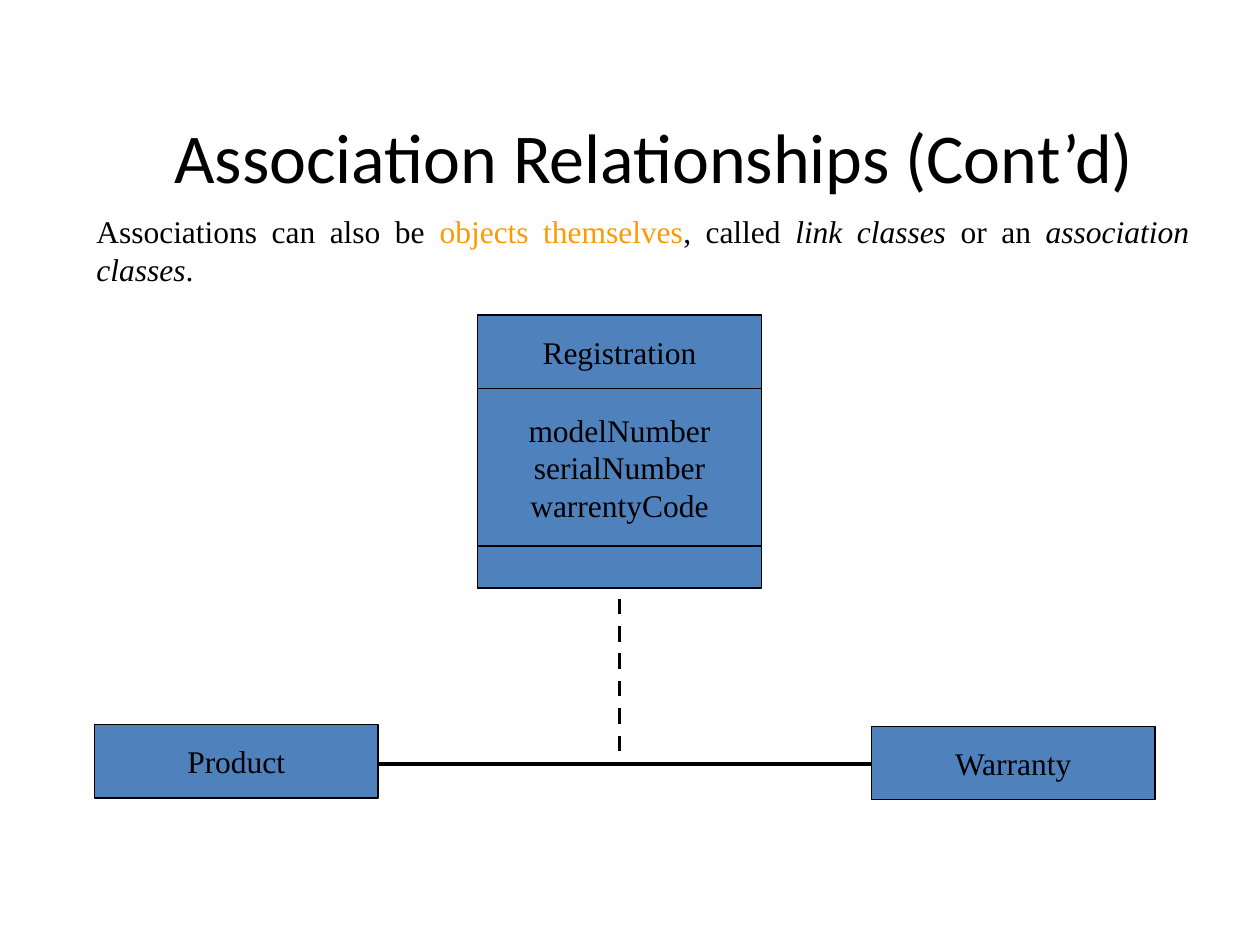
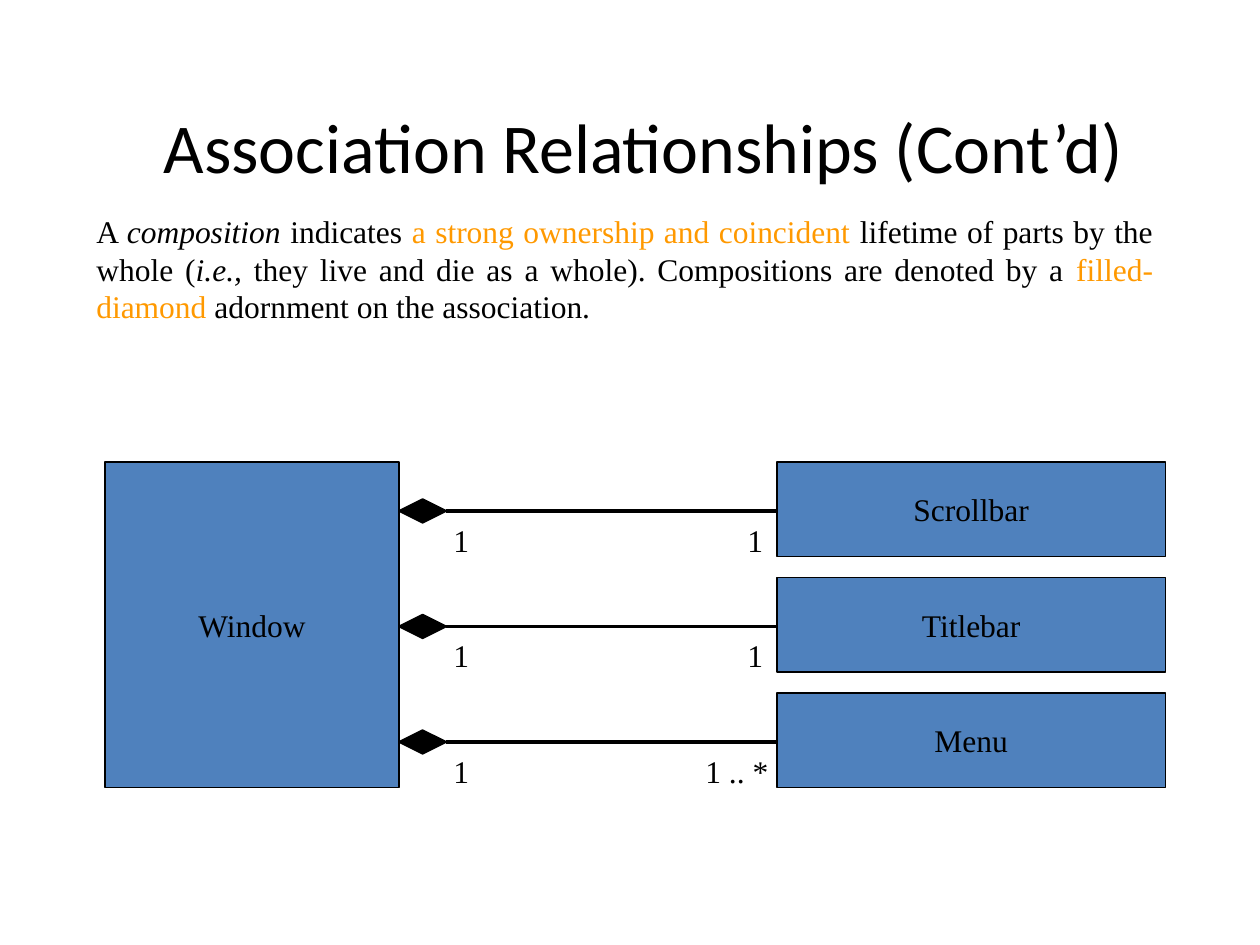
import pptx
import pptx.util
import pptx.dml.color
import pptx.enum.dml
import pptx.enum.shapes
import pptx.enum.text
import pptx.oxml.ns
import lxml.etree

Pt = pptx.util.Pt
RGB = pptx.dml.color.RGBColor.from_string
ALIGN = pptx.enum.text.PP_ALIGN
ANCHOR = pptx.enum.text.MSO_ANCHOR
SHAPE = pptx.enum.shapes.MSO_SHAPE

COLORS = {"ink": "000000", "accent": "FF9900", "box": "4F81BD"}
TITLE = "Association Relationships (Cont’d)"
TITLE_FONT = {"name": "Calibri", "size": Pt(40)}
BODY_FONT = {"name": "Times New Roman", "size": Pt(18)}
FRAME = {"margin_left": Pt(7.2), "margin_right": Pt(7.2), "margin_top": Pt(3.6),
         "margin_bottom": Pt(3.6), "auto_size": pptx.enum.text.MSO_AUTO_SIZE.NONE}


def write(sp, paragraphs, align, font=BODY_FONT, **frame):
    tf = sp.text_frame
    for name, value in {**FRAME, "word_wrap": True, **frame}.items():
        setattr(tf, name, value)
    for i, runs in enumerate(paragraphs):
        p = tf.paragraphs[0] if i == 0 else tf.add_paragraph()
        p.alignment = align
        for text, style in runs:
            r = p.add_run()
            r.text = text
            for name, value in {**font, "italic": style == "italic"}.items():
                setattr(r.font, name, value)
            r.font.color.rgb = RGB(COLORS["accent" if style == "accent" else "ink"])


def add_box(s, kind, at, fill, line_width, lines=()):
    sp = s.shapes.add_shape(kind, *map(Pt, at))
    sp.shadow.inherit = False
    sp.fill.solid()
    sp.fill.fore_color.rgb = RGB(COLORS[fill])
    sp.line.color.rgb = RGB(COLORS["ink"])
    sp.line.width = Pt(line_width)
    if lines:
        write(sp, [[(line, "")] for line in lines], ALIGN.CENTER,
              word_wrap=False, vertical_anchor=ANCHOR.MIDDLE)


link_class = {
    "title": (72, 72), "intro_size": (638.6, 72),
    "intro": [("Associations can also be ", ""), ("objects themselves", "accent"),
              (", called ", ""), ("link classes", "italic"), (" or an ", ""),
              ("association classes", "italic"), (".", "")],
    "lines": [((216, 436.5), (504, 436.5), False), ((354, 342), (354, 438), True)],
    "boxes": [((498, 415, 162, 42), ["Warranty"]),
              ((54, 414, 162, 42), ["Product"]),
              ((273, 312, 162, 24), []),
              ((273, 180, 162, 42), ["Registration"]),
              ((273, 222, 162, 90), ["modelNumber", "serialNumber", "warrentyCode"])],
    "diamonds": [], "labels": [],
}

composition = {
    "title": (66, 66), "intro_size": (618, 93.6),
    "intro": [("A ", ""), ("composition ", "italic"), ("indicates ", ""),
              ("a strong ownership and coincident ", "accent"),
              ("lifetime of parts by the whole (", ""), ("i.e.,", "italic"),
              (" they live and die as a whole). Compositions are denoted by a ", ""),
              ("filled-diamond", "accent"), (" adornment on the association.", "")],
    "lines": [], "boxes": [((60, 264, 168, 186), ["Window"])],
    "diamonds": [], "labels": [],
}

parts = [("Scrollbar", "1", 420, 24), ("Titlebar", "1", 420, 24), ("Menu", "1 .. *", 396, 60)]
for i, (part, count, count_left, count_width) in enumerate(parts):
    top = 264 + 66 * i
    axis = top + 28
    composition["lines"].append(((255, axis), (447, axis), False))
    composition["boxes"].append(((444, top, 222, 54), [part]))
    composition["diamonds"].append((228, axis - 6.75, 27, 13.5))
    composition["labels"] += [((252, top + 30, 24, 28.8), "1"),
                              ((count_left, top + 30, count_width, 28.8), count)]

prs = pptx.Presentation()
prs.slide_width, prs.slide_height = Pt(720), Pt(540)

for content in (link_class, composition):
    s = prs.slides.add_slide(prs.slide_layouts[5])
    sp = s.shapes.title
    sp.left, sp.top = map(Pt, content["title"])
    sp.width, sp.height = Pt(603.4), Pt(34)
    write(sp, [[(TITLE, "")]], ALIGN.CENTER, TITLE_FONT, vertical_anchor=ANCHOR.MIDDLE)

    sp = s.shapes.add_textbox(Pt(48), Pt(96), *map(Pt, content["intro_size"]))
    write(sp, [content["intro"]], ALIGN.JUSTIFY, margin_top=Pt(25))

    for start, end, dashed in content["lines"]:
        line = s.shapes.add_connector(pptx.enum.shapes.MSO_CONNECTOR.STRAIGHT,
                                      *map(Pt, start + end))
        line.line.color.rgb = RGB(COLORS["ink"])
        line.line.width = Pt(2.25)
        if dashed:
            line.line.dash_style = pptx.enum.dml.MSO_LINE.DASH
        lxml.etree.SubElement(line._element.spPr, pptx.oxml.ns.qn("a:effectLst"))

    for at, lines in content["boxes"]:
        add_box(s, SHAPE.RECTANGLE, at, "box", 0.75, lines)
    for at in content["diamonds"]:
        add_box(s, SHAPE.DIAMOND, at, "ink", 1)
    for at, text in content["labels"]:
        write(s.shapes.add_textbox(*map(Pt, at)), [[(text, "")]], ALIGN.LEFT)

prs.save("out.pptx")
